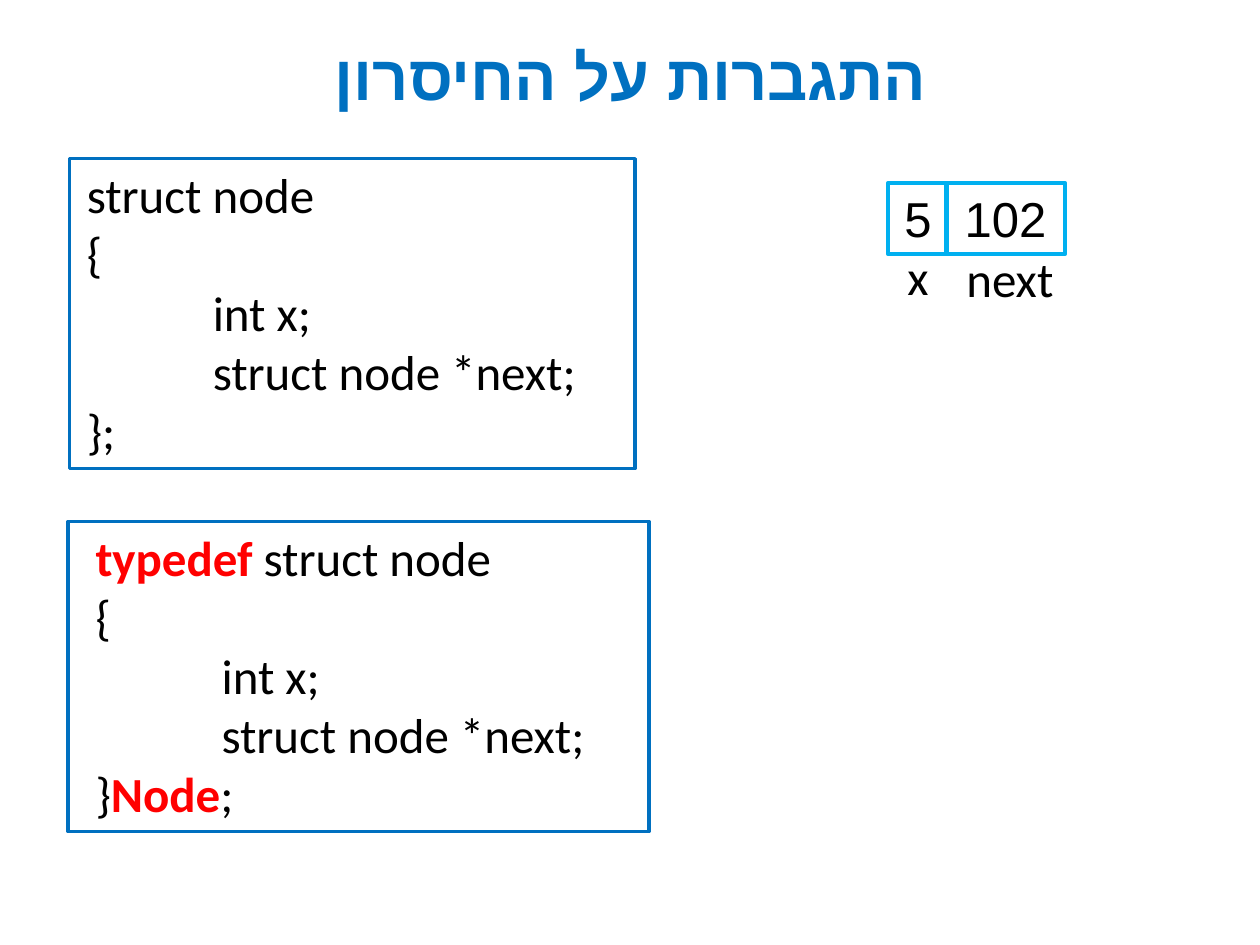
import pptx
import pptx.dml.color
import pptx.enum.shapes
import pptx.enum.text
import pptx.oxml
import pptx.oxml.ns
import pptx.util

Inches = pptx.util.Inches
Pt = pptx.util.Pt
ALIGN = pptx.enum.text.PP_ALIGN
ANCHOR = pptx.enum.text.MSO_ANCHOR

COLORS = {"blue": "0070C0", "sky": "00B0F0", "red": "FF0000", "black": "000000"}
CODE_SIZE = 28

# Each line is a list of (text, highlighted) spans.
BODY = [[("{", False)], [("\tint x;", False)], [("\tstruct node *next;", False)]]
PLAIN_STRUCT = [[("struct node", False)], *BODY, [("};", False)]]
TYPEDEF_STRUCT = [
    [("typedef", True), (" struct node", False)],
    *BODY,
    [("}", False), ("Node", True), (";", False)],
]


def color(name):
    return pptx.dml.color.RGBColor.from_string(COLORS[name])


def set_font(font, name, size, color_name, bold=False):
    font.name = name
    font.size = Pt(size)
    font.bold = bold
    font.color.rgb = color(color_name)


def write_rtl(frame, text, name, size, color_name, bold=False):
    """Write one centred right-to-left paragraph, unkerned, with Arial for complex script."""
    para = frame.paragraphs[0]
    para.alignment = ALIGN.CENTER
    para._p.get_or_add_pPr().set("rtl", "1")
    span = para.add_run()
    span.text = text
    set_font(span.font, name, size, color_name, bold)
    properties = span.font._element
    properties.set("kern", "0")
    properties.append(pptx.oxml.parse_xml(
        f'<a:cs {pptx.oxml.ns.nsdecls("a")} typeface="Arial"/>'))


def set_tab_stop(para, position):
    para._p.get_or_add_pPr().append(pptx.oxml.parse_xml(
        f'<a:tabLst {pptx.oxml.ns.nsdecls("a")}>'
        f'<a:tab pos="{Inches(position)}" algn="l"/></a:tabLst>'))


def set_title(page, text):
    title = page.shapes.title
    title.left, title.top = Inches(0.91), Inches(0.19)
    title.width, title.height = Inches(8.19), Inches(0.81)
    title.text_frame.vertical_anchor = ANCHOR.MIDDLE
    write_rtl(title.text_frame, text, "Arial", 36, "blue", bold=True)


def add_frame(page, left, top, width, height, line_color, line_width):
    box = page.shapes.add_shape(
        pptx.enum.shapes.MSO_SHAPE.RECTANGLE,
        Inches(left), Inches(top), Inches(width), Inches(height))
    box.shadow.inherit = False
    box.fill.background()
    box.line.color.rgb = color(line_color)
    box.line.width = Pt(line_width)
    return box


def add_text_box(page, left, top, width, height):
    box = page.shapes.add_textbox(
        Inches(left), Inches(top), Inches(width), Inches(height))
    box.text_frame.word_wrap = True
    return box


def add_code(page, left, top, lines):
    frame = add_text_box(page, left, top, 4.41, 2.46).text_frame
    for index, spans in enumerate(lines):
        para = frame.add_paragraph() if index else frame.paragraphs[0]
        para.alignment = ALIGN.LEFT
        set_tab_stop(para, 1)
        for text, highlighted in spans:
            span = para.add_run()
            span.text = text
            set_font(span.font, "Calibri", CODE_SIZE,
                     "red" if highlighted else "black", highlighted)


def add_field_value(page, left, width, text):
    box = add_frame(page, left, 1.45, width, 0.57, "sky", 2.25)
    box.text_frame.vertical_anchor = ANCHOR.TOP
    write_rtl(box.text_frame, text, "Calibri", CODE_SIZE, "black")


def add_field_name(page, left, top, width, text):
    box = add_text_box(page, left, top, width, 0.57)
    write_rtl(box.text_frame, text, "Calibri", CODE_SIZE, "black")


def main():
    deck = pptx.Presentation()
    deck.slide_width, deck.slide_height = Inches(10), Inches(7.5)
    page = deck.slides.add_slide(deck.slide_layouts[5])

    set_title(page, "התגברות על החיסרון")

    add_code(page, 0.59, 1.26, PLAIN_STRUCT)
    add_field_value(page, 7.05, 0.47, "5")
    add_field_name(page, 6.93, 1.91, 0.71, "x")
    add_field_value(page, 7.51, 0.94, "102")
    add_field_name(page, 7.52, 1.92, 0.99, "next")
    add_frame(page, 0.55, 1.26, 4.49, 2.46, "blue", 2)

    add_code(page, 0.66, 4.14, TYPEDEF_STRUCT)
    add_frame(page, 0.54, 4.14, 4.61, 2.46, "blue", 2)

    deck.save("out.pptx")


if __name__ == "__main__":
    main()
